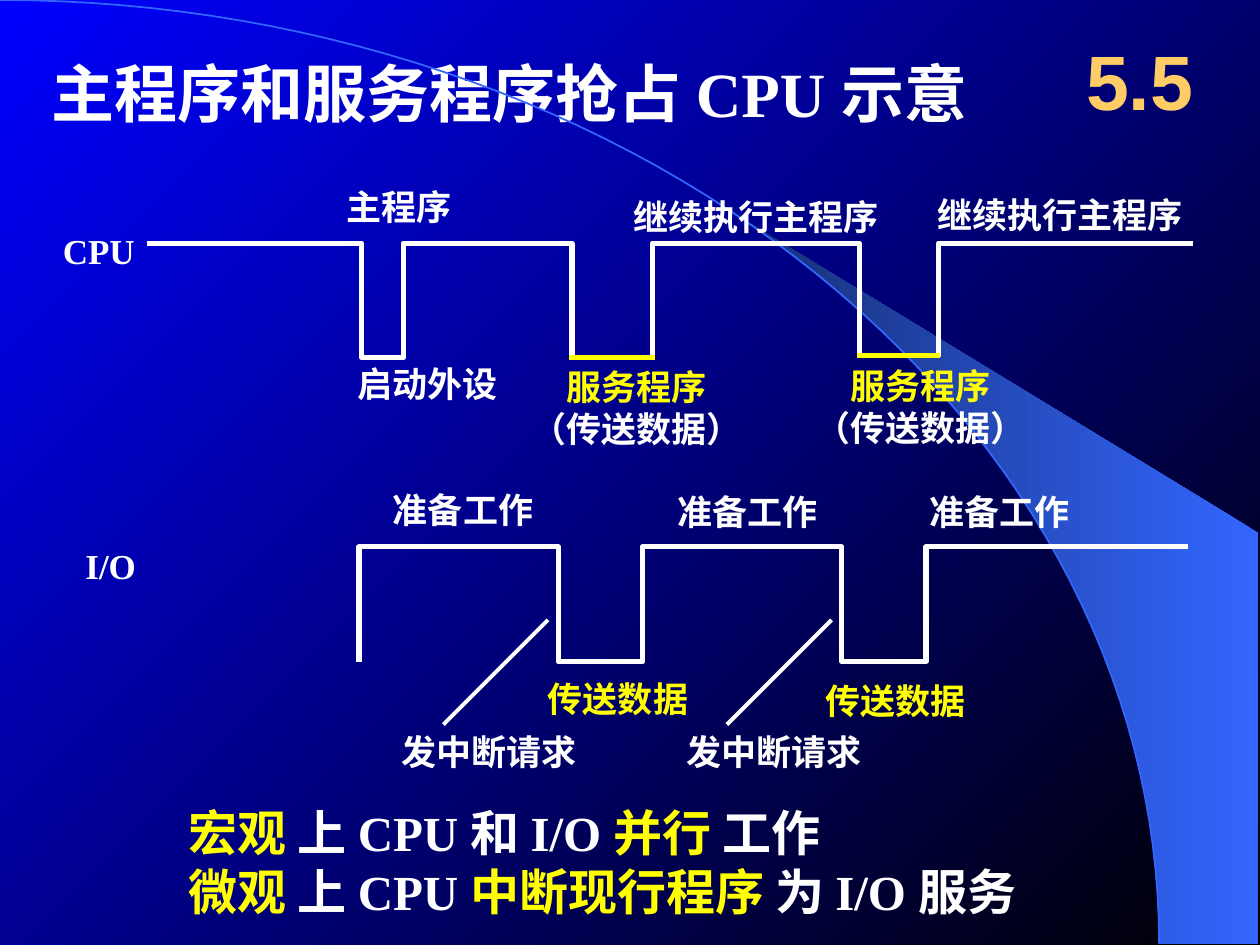
import math

from lxml import etree
from pptx import Presentation
from pptx.dml.color import RGBColor
from pptx.enum.shapes import MSO_CONNECTOR
from pptx.enum.text import MSO_ANCHOR, MSO_AUTO_SIZE, PP_ALIGN
from pptx.oxml.ns import qn
from pptx.util import Inches, Pt

STRAIGHT = MSO_CONNECTOR.STRAIGHT
TOP, MIDDLE = MSO_ANCHOR.TOP, MSO_ANCHOR.MIDDLE
NO_AUTOFIT = MSO_AUTO_SIZE.NONE
LEFT, CENTER = PP_ALIGN.LEFT, PP_ALIGN.CENTER
TITLE_ONLY = 5

COLORS = {
    "white": "FFFFFF", "yellow": "FFFF00", "gold": "FFCC66",
    "black": "000000", "blue": "0000FF", "sky": "3366FF", "navy": "172F75",
}

TITLE = [[("主程序和服务程序抢占 CPU 示意", "white")]]
SECTION = [[("5.5", "gold")]]
SUMMARY = [
    [("宏观 ", "yellow"), ("上 CPU 和 I/O ", "white"), ("并行 ", "yellow"), ("工作", "white")],
    [("微观 ", "yellow"), ("上 CPU ", "white"), ("中断现行程序 ", "yellow"), ("为 I/O 服务", "white")],
]
SERVICE = [[("服务程序", "yellow")], [("（传送数据）", "white")]]

LABELS = [
    ("CPU", "white", 0.4, 1.77, 0.77),
    ("主程序", "white", 2.65, 1.42, 1.03),
    ("继续执行主程序", "white", 4.93, 1.5, 2.15),
    ("继续执行主程序", "white", 7.34, 1.49, 2.15),
    ("启动外设", "white", 2.74, 2.83, 1.31),
    ("I/O", "white", 0.58, 4.27, 0.6),
    ("准备工作", "white", 3.02, 3.83, 1.31),
    ("准备工作", "white", 5.28, 3.84, 1.31),
    ("准备工作", "white", 7.28, 3.84, 1.31),
    ("传送数据", "yellow", 4.25, 5.33, 1.31),
    ("传送数据", "yellow", 6.45, 5.34, 1.31),
    ("发中断请求", "white", 3.09, 5.75, 1.59),
    ("发中断请求", "white", 5.35, 5.75, 1.59),
]
SERVICE_POSITIONS = [(4.12, 2.85), (6.37, 2.84)]

CPU_EDGES = [1.17, 2.87, 3.2, 4.54, 5.18, 6.82, 7.45, 9.47]
CPU_LEVELS = [1.93, 2.84, 1.93, 2.84, 1.93, 2.82, 1.93]
IO_EDGES = [2.85, 2.85, 4.43, 5.1, 6.68, 7.35, 9.43]
IO_LEVELS = [5.25, 4.34, 5.25, 4.34, 5.25, 4.34]
SERVICE_BARS = [(4.52, 5.2, 2.84), (6.8, 7.46, 2.82)]
REQUEST_LEFTS = [3.52, 5.77]

ARC_WIDTH, ARC_HEIGHT = 9.2, 7.49
WEDGE_TIP = 5.89


def rgb(name):
    return RGBColor.from_string(COLORS[name])


def paint_gradient(fill, names, angle):
    fill.gradient()
    fill.gradient_angle = angle
    for stop, name in zip(fill.gradient_stops, names):
        stop.color.rgb = rgb(name)


def arc_points(start, steps=60):
    first = math.asin(start / ARC_WIDTH)
    angles = [first + (math.pi / 2 - first) * i / steps for i in range(steps + 1)]
    return [(ARC_WIDTH * math.sin(a), ARC_HEIGHT * (1 - math.cos(a))) for a in angles]


def wave_points(edges, levels):
    return [(x, level) for i, level in enumerate(levels) for x in edges[i:i + 2]]


def add_path(slide, points, color=None, weight=0, close=False):
    corners = [(Inches(x), Inches(y)) for x, y in points]
    builder = slide.shapes.build_freeform(*corners[0])
    builder.add_line_segments(corners[1:], close=close)
    shape = builder.convert_to_shape()
    shape.shadow.inherit = False
    shape.fill.background()
    if color:
        shape.line.color.rgb = rgb(color)
        shape.line.width = Pt(weight)
    else:
        shape.line.fill.background()
    return shape


def add_line(slide, start, end, color, weight):
    ends = [Inches(value) for value in (*start, *end)]
    connector = slide.shapes.add_connector(STRAIGHT, *ends)
    connector.line.color.rgb = rgb(color)
    connector.line.width = Pt(weight)
    etree.SubElement(connector._element.spPr, qn("a:effectLst"))


def write_text(shape, paragraphs, box, size=20, font="Times New Roman",
               align=LEFT, anchor=TOP, wrap=False):
    shape.left, shape.top, shape.width, shape.height = [Inches(value) for value in box]
    frame = shape.text_frame
    frame.auto_size = NO_AUTOFIT
    frame.word_wrap = wrap
    frame.vertical_anchor = anchor
    for index, runs in enumerate(paragraphs):
        paragraph = frame.add_paragraph() if index else frame.paragraphs[0]
        paragraph.alignment = align
        for text, color in runs:
            run = paragraph.add_run()
            run.text = text
            run.font.name = font
            run.font.size = Pt(size)
            run.font.bold = True
            run.font.color.rgb = rgb(color)


def add_text(slide, paragraphs, box, **style):
    shape = slide.shapes.add_textbox(0, 0, 0, 0)
    write_text(shape, paragraphs, box, **style)


def main():
    """Build the slide on the CPU and I/O timing of an interrupt."""
    presentation = Presentation()
    presentation.slide_width, presentation.slide_height = Inches(10), Inches(7.5)
    slide = presentation.slides.add_slide(presentation.slide_layouts[TITLE_ONLY])
    paint_gradient(slide.background.fill, ("black", "blue"), 135)

    wedge_points = arc_points(WEDGE_TIP) + [(9.99, 7.49), (9.99, 4.23)]
    wedge = add_path(slide, wedge_points, close=True)
    paint_gradient(wedge.fill, ("sky", "navy"), 180)
    add_path(slide, arc_points(0), "sky", 1)

    write_text(slide.shapes.title, TITLE, (0.31, 0.38, 8.1, 0.7), size=36)
    add_text(slide, SECTION, (8.42, 0.17, 1.25, 0.92), size=44, font="Arial",
             align=CENTER, anchor=MIDDLE, wrap=True)

    for edges, levels in ((CPU_EDGES, CPU_LEVELS), (IO_EDGES, IO_LEVELS)):
        add_path(slide, wave_points(edges, levels), "white", 3)
    for left, right, level in SERVICE_BARS:
        add_line(slide, (left, level), (right, level), "yellow", 3)
    for left in REQUEST_LEFTS:
        add_line(slide, (left, 5.75), (left + 0.83, 4.92), "white", 2.25)

    for text, color, left, top, width in LABELS:
        add_text(slide, [[(text, color)]], (left, top, width, 0.44))
    for left, top in SERVICE_POSITIONS:
        add_text(slide, SERVICE, (left, top, 1.87, 0.77), align=CENTER)
    add_text(slide, SUMMARY, (1.4, 6.32, 8.02, 1.04), size=28, wrap=True)

    presentation.save("out.pptx")


if __name__ == "__main__":
    main()
